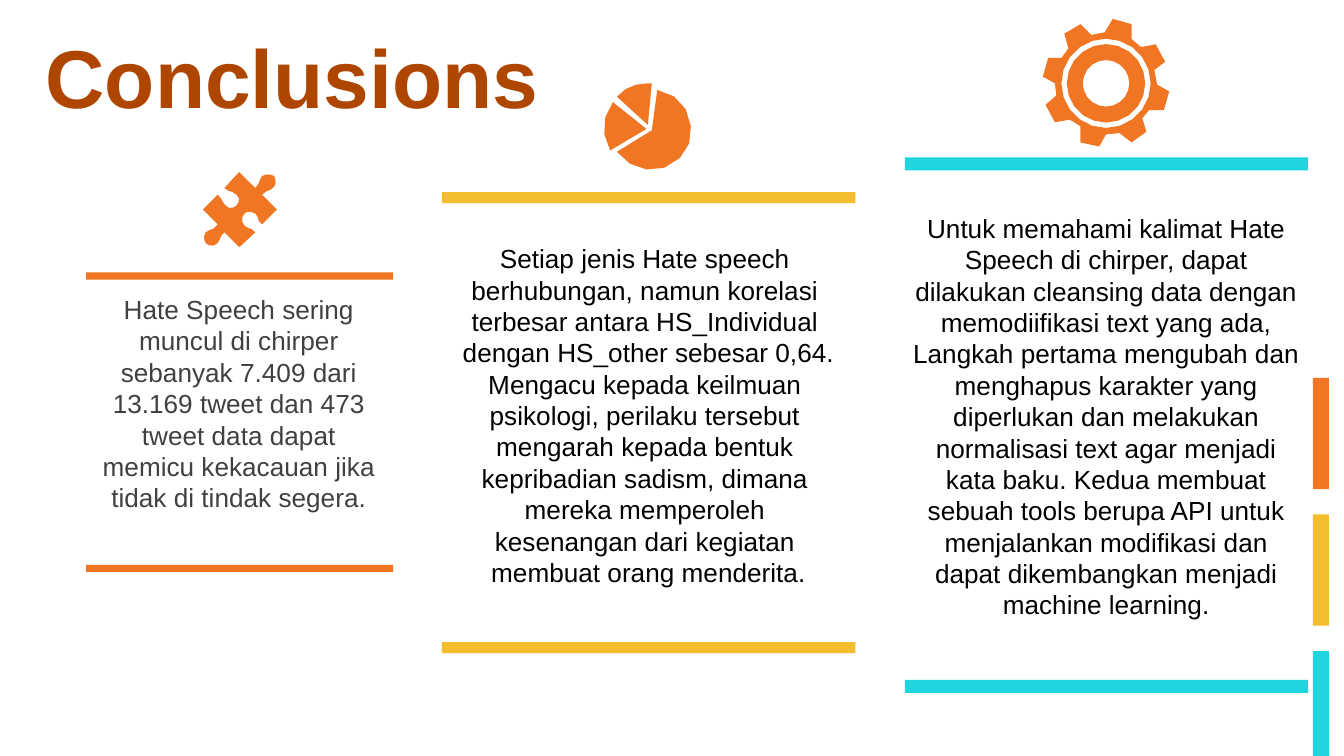
import math
import pptx
import pptx.util
import pptx.dml.color
import pptx.enum.shapes
import pptx.enum.text

Pt = pptx.util.Pt
RGB = pptx.dml.color.RGBColor
ORANGE = RGB(0xF0, 0x76, 0x24)
YELLOW = RGB(0xF4, 0xBD, 0x2D)
CYAN = RGB(0x1E, 0xD4, 0xDE)
RUST = RGB(0xAE, 0x46, 0x00)
GRAY = RGB(0x40, 0x40, 0x40)
BLACK = RGB(0, 0, 0)

# Icon outlines are written in hundredths of an inch.
ICON_UNIT = 0.72
CURVE_STEPS = 3
CIRCLE_STEP = 18

PUZZLE = """M 204 131 C 205 133 206 137 204 139 C 201 143 198 141 195 145
L 206 156 L 195 167 C 191 165 193 161 190 159 C 187 157 183 157 182 159
C 180 161 179 165 182 168 C 185 171 187 169 190 173 L 178 184 L 167 173
C 163 176 165 177 162 181 C 159 184 155 183 153 181 C 152 179 151 176 153 173
C 156 170 159 172 162 167 L 151 156 L 162 145 C 166 148 165 151 168 153
C 170 156 174 155 176 153 C 178 151 179 147 176 145 C 172 141 171 144 167 140
L 178 128 L 190 140 C 194 136 192 135 195 131 C 198 129 202 130 204 131"""
PIE = """M 456 76 L 481 96 L 454 112 C 447 101 448 86 456 76
M 489 67 C 503 69 513 80 514 94 C 516 107 508 120 494 125
C 481 129 467 124 459 113 L 485 97
M 482 62 L 485 62 L 482 93 L 459 72 C 465 65 473 62 482 62"""
GEAR_RIM = """M 842 18 L 842 29 L 849 35 L 860 33 L 867 46 L 859 52
L 861 63 L 870 68 L 866 82 L 855 82 L 850 88 L 853 98 L 842 106 L 833 99
L 823 100 L 818 109 L 804 106 L 804 94 L 796 89 L 785 91 L 778 78 L 786 71
L 785 62 L 776 57 L 780 43 L 790 43 L 795 36 L 792 25 L 804 18 L 812 26
L 822 24 L 828 14"""
GEAR_CENTER = (823, 62)
GEAR_RADII = (17.3, 29.2, 33.2)


def curve_point(knots, t):
    """Return the point at t on a cubic curve with four knots."""
    weights = ((1 - t) ** 3, 3 * t * (1 - t) ** 2, 3 * t * t * (1 - t), t ** 3)
    return tuple(sum(w * knot[axis] for w, knot in zip(weights, knots))
                 for axis in (0, 1))


def trace(outline):
    """Turn an outline of M, L and C commands into lists of points."""
    contours = []
    words = iter(outline.split())
    for command in words:
        count = 3 if command == "C" else 1
        points = [(int(next(words)), int(next(words))) for _ in range(count)]
        if command == "M":
            contours.append(points)
        elif command == "L":
            contours[-1] += points
        else:
            knots = [contours[-1][-1]] + points
            contours[-1] += [curve_point(knots, step / CURVE_STEPS)
                             for step in range(1, CURVE_STEPS + 1)]
    return contours


def turn(point, center, degrees):
    """Turn a point clockwise about a center."""
    angle = math.radians(degrees)
    dx, dy = point[0] - center[0], point[1] - center[1]
    return (center[0] + dx * math.cos(angle) - dy * math.sin(angle),
            center[1] + dx * math.sin(angle) + dy * math.cos(angle))


def circle(center, radius):
    """Return a circle as a list of points."""
    start = (center[0] + radius, center[1])
    return [turn(start, center, degrees)
            for degrees in range(0, 360, CIRCLE_STEP)]


class SlideBuilder:
    """Holds the text style and the current slide or group."""

    font = "Arial"

    def __init__(self, shapes):
        """Keep the shapes to draw among."""
        self.shapes = shapes

    def group(self):
        """Add a group and return a builder that draws in it."""
        return SlideBuilder(self.shapes.add_group_shape().shapes)

    def paint(self, shape, color):
        """Give a shape a plain fill without line or shadow."""
        shape.shadow.inherit = False
        shape.fill.solid()
        shape.fill.fore_color.rgb = color
        shape.line.fill.background()

    def bar(self, left, top, width, height, color):
        """Add a filled rectangle."""
        shape = self.shapes.add_shape(
            pptx.enum.shapes.MSO_SHAPE.RECTANGLE,
            Pt(left), Pt(top), Pt(width), Pt(height))
        self.paint(shape, color)

    def icon(self, contours, color, rotation=0, center=(0, 0)):
        """Add a freeform whose contours show as given after rotation."""
        placed = [[tuple(Pt(value * ICON_UNIT)
                         for value in turn(point, center, -rotation))
                   for point in contour] for contour in contours]
        builder = self.shapes.build_freeform(*placed[0][0])
        for index, contour in enumerate(placed):
            if index:
                builder.move_to(*contour[0])
            builder.add_line_segments(contour[1:], close=True)
        shape = builder.convert_to_shape()
        shape.rotation = rotation
        self.paint(shape, color)

    def text(self, left, top, width, height, lines, size, color,
             bold=False, title=False):
        """Add a centred text box with one paragraph per line."""
        box = self.shapes.add_textbox(Pt(left), Pt(top), Pt(width), Pt(height))
        frame = box.text_frame
        frame.word_wrap = True
        if title:
            frame.vertical_anchor = pptx.enum.text.MSO_ANCHOR.MIDDLE
        else:
            frame.auto_size = pptx.enum.text.MSO_AUTO_SIZE.SHAPE_TO_FIT_TEXT
        for index, line in enumerate(lines):
            para = frame.add_paragraph() if index else frame.paragraphs[0]
            para.alignment = pptx.enum.text.PP_ALIGN.CENTER
            span = para.add_run()
            span.text = line
            span.font.name = self.font
            span.font.size = Pt(size)
            span.font.bold = bold
            span.font.color.rgb = color


FINDING = ["Hate Speech sering muncul di chirper sebanyak 7.409 dari 13.169 "
           "tweet dan 473 tweet data dapat memicu kekacauan jika tidak di "
           "tindak segera."]
CORRELATION = [
    "Setiap jenis Hate speech ",
    "berhubungan, namun korelasi ",
    "terbesar antara HS_Individual ",
    "dengan HS_other sebesar 0,64. Mengacu kepada keilmuan ",
    "psikologi, perilaku tersebut ",
    "mengarah kepada bentuk ",
    "kepribadian\u00a0sadism, dimana ",
    "mereka memperoleh ",
    "kesenangan dari kegiatan ",
    "membuat orang menderita.",
]
METHOD = ["Untuk memahami kalimat Hate Speech di chirper, dapat dilakukan "
          "cleansing data dengan memodiifikasi text yang ada, Langkah pertama "
          "mengubah dan menghapus karakter yang diperlukan dan melakukan "
          "normalisasi text agar menjadi kata baku. Kedua membuat sebuah "
          "tools berupa API untuk menjalankan modifikasi dan dapat "
          "dikembangkan menjadi machine learning."]

# Bars (left, width, thickness, tops, color), then text (place, lines, color).
COLUMNS = [
    (46.2, 164.4, 3.8, (146, 302.6), ORANGE,
     (43, 153.7, 169.9, 146.9), FINDING, GRAY),
    (236.7, 221.6, 6, (102.9, 344), YELLOW,
     (236.5, 126.4, 221.8, 211), CORRELATION, BLACK),
    (484.8, 216, 7, (84.3, 364.2), CYAN,
     (481.7, 110.2, 221.8, 231.8), METHOD, BLACK),
]

deck = pptx.Presentation()
deck.slide_width, deck.slide_height = Pt(720), Pt(405)
page = SlideBuilder(deck.slides.add_slide(deck.slide_layouts[6]).shapes)

for left, width, thickness, tops, color, place, lines, ink in COLUMNS:
    column = page.group()
    for top in tops:
        column.bar(left, top, width, thickness, color)
    column.text(*place, lines, 14, ink)

page.icon(trace(PUZZLE), ORANGE, rotation=45, center=(178.5, 156))
page.icon(trace(PIE), ORANGE)
gear_rings = [circle(GEAR_CENTER, radius) for radius in GEAR_RADII]
page.icon(trace(GEAR_RIM) + gear_rings, ORANGE)

page.text(15.8, 25.9, 281.5, 29.5, ["Conclusions"], 44, RUST,
          bold=True, title=True)

for index, color in enumerate((ORANGE, YELLOW, CYAN)):
    page.bar(703.4, 202.4 + index * 73.2, 8.6, 59.6, color)

deck.save("out.pptx")
